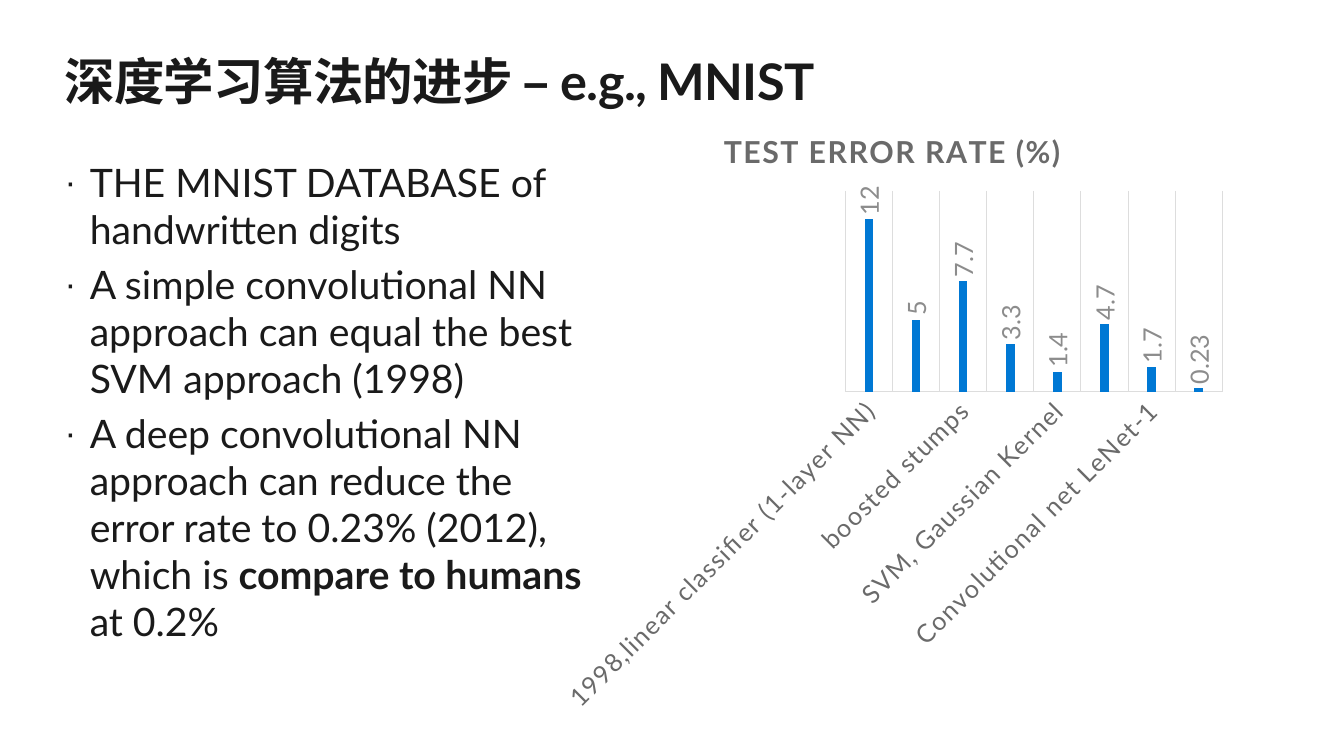
from dataclasses import dataclass

from lxml import etree
from pptx import Presentation
from pptx.chart.data import CategoryChartData
from pptx.dml.color import RGBColor
from pptx.enum.chart import XL_CHART_TYPE, XL_LABEL_POSITION, XL_TICK_MARK
from pptx.enum.text import MSO_ANCHOR, PP_ALIGN
from pptx.oxml.ns import qn
from pptx.util import Inches, Pt

TITLE = "深度学习算法的进步 – e.g., MNIST"
BULLETS = [
    [("THE MNIST DATABASE of handwritten digits", False)],
    [("A simple convolutional NN approach can equal the best SVM approach (1998)", False)],
    [("A deep convolutional NN approach can reduce the error rate to 0.23% (2012), which is ", False),
     ("compare to humans", True), (" at 0.2%", False)],
]
MEASURE = "TEST ERROR RATE (%)"
ERROR_RATES = [
    ("1998,linear classifier (1-layer NN)", 12),
    ("K-nearest-neighbors, Euclidean (L2)", 5),
    ("boosted stumps", 7.7),
    ("Non-Linear Classifiers40 PCA + quadratic classifier", 3.3),
    ("SVM, Gaussian Kernel", 1.4),
    ("Neural Nets, 2-layer NN, 300 hidden units, mean square error", 4.7),
    ("Convolutional net LeNet-1", 1.7),
    ("2012, 35 conv. net, 1-20-P-40-P-150-10", 0.23),
]
TITLE_BOX = (0.64, 0.5, 12.05, 0.61)
BODY_BOX = (0.64, 1.57, 5.24, 4.9)
CHART_BOX = (5.44, 1.05, 6.82, 6.14)
AUTOMATIC_ANGLE = -1000


@dataclass(frozen=True)
class Theme:
    font: str = "Lato"
    ink: str = "1A1A1A"
    axis_ink: str = "6A6A6A"
    label_ink: str = "8C8C8C"
    grid: str = "DDDDDD"
    bar: str = "0078D4"
    title_size: float = 36
    body_size: float = 28
    chart_title_size: float = 21.6
    chart_size: float = 18


THEME = Theme()


def style_font(font, size, color, bold=False):
    font.name, font.size, font.bold = THEME.font, Pt(size), bold
    font.color.rgb = RGBColor.from_string(color)


def add_text(paragraph, text, *, size, color, bold=False, spacing=0):
    """Append a run; spacing is the letter spacing in points."""
    run = paragraph.add_run()
    run.text = text
    style_font(run.font, size, color, bold)
    if spacing:
        run.font._element.set("spc", str(round(spacing * 100)))


def place(placeholder, box):
    placeholder.left, placeholder.top, placeholder.width, placeholder.height = map(Inches, box)
    frame = placeholder.text_frame
    frame.margin_left = frame.margin_top = frame.margin_right = frame.margin_bottom = 0
    frame.vertical_anchor, frame.word_wrap = MSO_ANCHOR.TOP, True
    return frame


def add_bullet(paragraph):
    properties = paragraph._p.get_or_add_pPr()
    properties.set("marL", str(Inches(0.25)))
    properties.set("indent", str(Inches(-0.25)))
    etree.SubElement(properties, qn("a:buSzPct"), val="90000")
    etree.SubElement(properties, qn("a:buChar"), char="·")


def rotate(text_owner, degrees):
    body = text_owner._element.find(qn("c:txPr")).find(qn("a:bodyPr"))
    body.set("rot", str(degrees * 60000))
    body.set("vert", "horz")


def style_line(line):
    line.color.rgb = RGBColor.from_string(THEME.grid)
    line.width = Pt(0.75)


def add_error_chart(slide):
    names, rates = zip(*ERROR_RATES)
    data = CategoryChartData()
    data.categories = names
    data.add_series(MEASURE, rates)
    chart = slide.shapes.add_chart(
        XL_CHART_TYPE.COLUMN_CLUSTERED, *map(Inches, CHART_BOX), data).chart
    style_font(chart.font, THEME.chart_size, THEME.ink)
    chart.has_legend = False
    chart.has_title = True
    add_text(chart.chart_title.text_frame.paragraphs[0], MEASURE,
             size=THEME.chart_title_size, color=THEME.axis_ink, bold=True, spacing=1)
    chart.chart_title.include_in_layout = False

    methods = chart.category_axis
    methods.major_tick_mark = methods.minor_tick_mark = XL_TICK_MARK.NONE
    methods.has_major_gridlines = True
    style_line(methods.major_gridlines.format.line)
    style_line(methods.format.line)
    style_font(methods.tick_labels.font, THEME.chart_size, THEME.axis_ink)
    methods.tick_labels.font._element.set("spc", "100")
    rotate(methods, AUTOMATIC_ANGLE)

    scale = chart.value_axis
    scale.minimum_scale, scale.maximum_scale = 0, 14
    scale.has_major_gridlines = False
    scale.visible = False

    plot = chart.plots[0]
    plot.gap_width, plot.overlap, plot.vary_by_categories = 444, -90, False
    bars = plot.series[0]
    bars.format.fill.solid()
    bars.format.fill.fore_color.rgb = RGBColor.from_string(THEME.bar)
    labels = bars.data_labels
    labels.show_value = True
    labels.position = XL_LABEL_POSITION.OUTSIDE_END
    style_font(labels.font, THEME.chart_size, THEME.label_ink)
    rotate(labels, -90)


def main():
    deck = Presentation()
    deck.slide_width, deck.slide_height = Inches(13.33), Inches(7.5)
    slide = deck.slides.add_slide(deck.slide_layouts[1])

    heading = place(slide.shapes.title, TITLE_BOX).paragraphs[0]
    heading.alignment = PP_ALIGN.LEFT
    add_text(heading, TITLE, size=THEME.title_size, color=THEME.ink, bold=True, spacing=-0.5)

    body = place(slide.placeholders[1], BODY_BOX)
    for index, pieces in enumerate(BULLETS):
        point = body.add_paragraph() if index else body.paragraphs[0]
        point.space_before = Pt(5.6 if index else 0)
        add_bullet(point)
        for text, bold in pieces:
            add_text(point, text, size=THEME.body_size, color=THEME.ink, bold=bold)

    add_error_chart(slide)
    deck.save("out.pptx")


if __name__ == "__main__":
    main()
